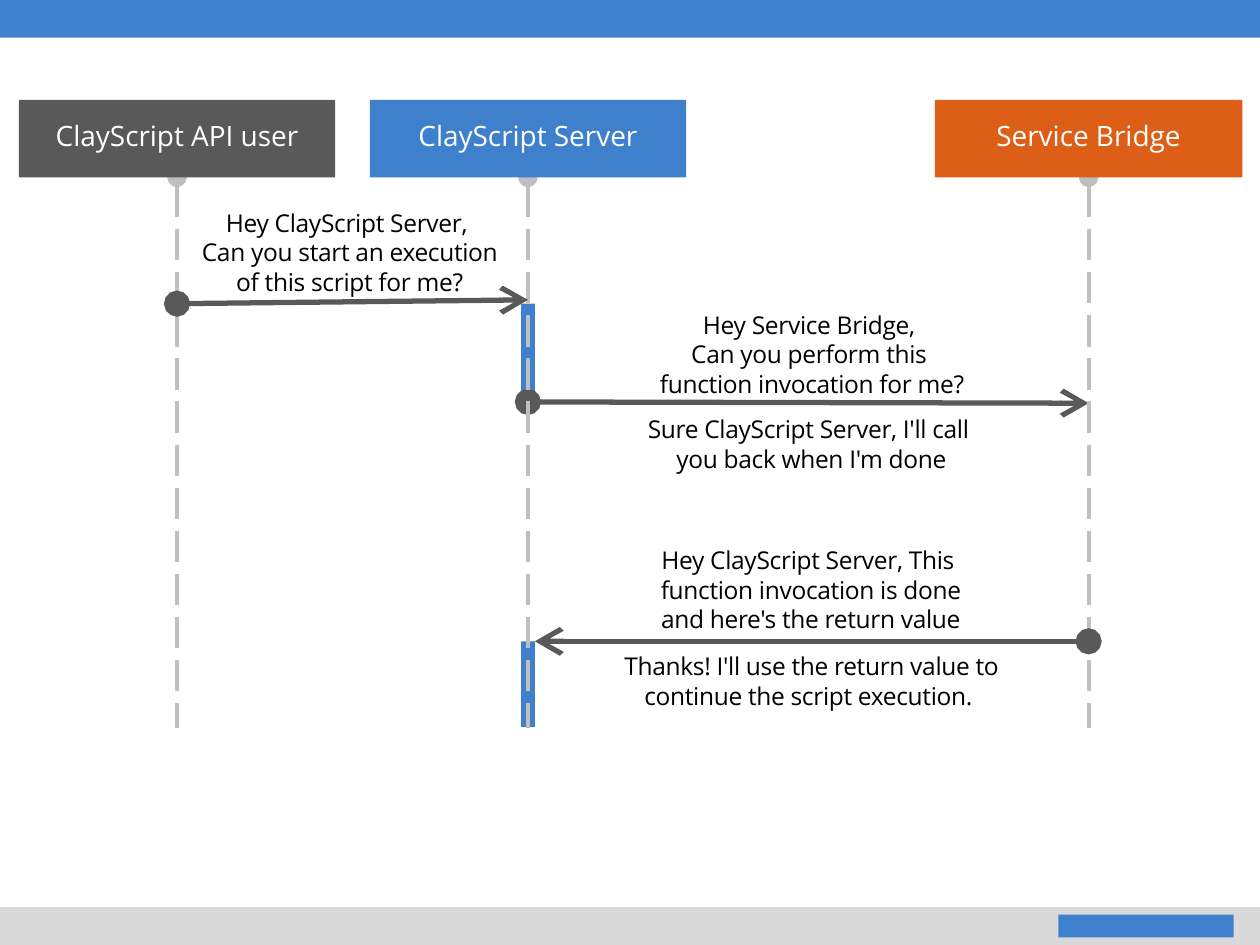
from lxml.etree import SubElement
from pptx import Presentation
from pptx.dml.color import RGBColor
from pptx.enum.dml import MSO_LINE
from pptx.enum.shapes import MSO_CONNECTOR, MSO_SHAPE
from pptx.enum.text import MSO_ANCHOR, MSO_AUTO_SIZE, PP_ALIGN
from pptx.oxml.ns import qn
from pptx.util import Inches, Pt

# The slide is a grid of 100 columns by 75 rows, each cell a tenth of an inch.
COLUMNS, ROWS = 100, 75
BLUE, ORANGE, DARK = "3F80CD", "DD5E17", "595959"
SILVER, PALE = "BFBFBF", "D9D9D9"
WHITE, BLACK = "FFFFFF", "000000"
BODY_FONT = "Open Sans"

HEADER_TOP, HEADER_HEIGHT, LIFELINE_END = 7.93, 6.15, 57.8
BAR_WIDTH = 1.1
USER, SERVER, BRIDGE = 14.05, 41.9, 86.4

# name, centre column, width, colour
PARTICIPANTS = [
    ("ClayScript API user", USER, 25.1, DARK),
    ("ClayScript Server", SERVER, 25.1, BLUE),
    ("Service Bridge", BRIDGE, 24.4, ORANGE),
]
# top row, height
ACTIVATIONS = [(50.9, 6.8), (24.1, 8)]
# left, top, width, height, wraps, paragraphs made of lines
CAPTIONS = [
    (14.9, 16, 25.7, 8.1, False, [["Hey ClayScript Server, "],
                                  ["Can you start an execution "],
                                  ["of this script for me?"]]),
    (51.3, 24.1, 26.3, 8.1, False, [["Hey Service Bridge, "],
                                    ["Can you perform this "],
                                    ["function invocation for me?"]]),
    (44.6, 32.4, 39.6, 5.7, True, [["Sure ClayScript Server, I'll call ",
                                    "you back when I'm done"]]),
    (51.3, 42.8, 26.1, 8.1, False, [["Hey ClayScript Server, This "],
                                    ["function invocation is done "],
                                    ["and here's the return value"]]),
    (44.6, 51.2, 39.6, 5.7, True, [["Thanks! I'll use the return value to "
                                    "continue the script execution. "]]),
]


def cells(*counts):
    """Turn counts of grid cells into lengths."""
    return [Inches(count / 10) for count in counts]


def color(hex_code):
    return RGBColor.from_string(hex_code)


def add_span(para, text, size, hex_code):
    span = para.add_run()
    span.text = text
    span.font.size = Pt(size)
    span.font.name = BODY_FONT
    span.font.color.rgb = color(hex_code)
    return span


def add_block(page, left, top, width, height, fill):
    block = page.shapes.add_shape(
        MSO_SHAPE.RECTANGLE, *cells(left, top, width, height))
    block.shadow.inherit = False
    block.fill.solid()
    block.fill.fore_color.rgb = color(fill)
    block.line.fill.background()
    return block


def add_header(page, name, centre, width, fill):
    header = add_block(page, centre - width / 2, HEADER_TOP,
                       width, HEADER_HEIGHT, fill)
    frame = header.text_frame
    frame.word_wrap = True
    frame.vertical_anchor = MSO_ANCHOR.TOP
    frame.margin_top = Inches(0.15)
    para = frame.paragraphs[0]
    para.alignment = PP_ALIGN.CENTER
    add_span(para, name, 16, WHITE)
    return header


def add_line(page, start, end, hex_code, weight, dash=None, tail=None):
    """Draw a line that starts with a dot and may end with an arrow."""
    line = page.shapes.add_connector(
        MSO_CONNECTOR.STRAIGHT, *cells(*start, *end))
    line.line.color.rgb = color(hex_code)
    line.line.width = Pt(weight)
    if dash:
        line.line.dash_style = dash
    outline = line.line._get_or_add_ln()
    SubElement(outline, qn("a:headEnd"), type="oval", w="lg", len="lg")
    if tail:
        SubElement(outline, qn("a:tailEnd"), type=tail, w="lg", len="lg")
    SubElement(line._element.spPr, qn("a:effectLst"))
    return line


def add_lifeline(page, centre):
    return add_line(page, (centre, HEADER_TOP + HEADER_HEIGHT),
                    (centre, LIFELINE_END), SILVER, 2.25, MSO_LINE.LONG_DASH)


def add_message(page, start, end):
    return add_line(page, start, end, DARK, 3, tail="arrow")


def add_caption(page, left, top, width, height, wraps, paragraphs):
    box = page.shapes.add_textbox(*cells(left, top, width, height))
    frame = box.text_frame
    frame.word_wrap = wraps
    frame.auto_size = MSO_AUTO_SIZE.SHAPE_TO_FIT_TEXT
    for index, lines in enumerate(paragraphs):
        para = frame.add_paragraph() if index else frame.paragraphs[0]
        para.alignment = PP_ALIGN.CENTER
        for number, text in enumerate(lines):
            if number:
                para.add_line_break()
            span = add_span(para, text, 14, BLACK)
            span.font._element.set("spc", "-20")


def add_bands(page):
    """Draw the top band and the footer band with its plain brand block."""
    add_block(page, 0, 0, COLUMNS, 3, BLUE)
    add_block(page, 0, ROWS - 3, COLUMNS, 3, PALE)
    add_block(page, 84, ROWS - 2.4, 13.9, 1.8, BLUE)


def main():
    deck = Presentation()
    deck.slide_width, deck.slide_height = cells(COLUMNS, ROWS)
    page = deck.slides.add_slide(deck.slide_layouts[6])
    add_bands(page)

    for top, height in ACTIVATIONS:
        add_block(page, SERVER - BAR_WIDTH / 2, top, BAR_WIDTH, height, BLUE)
    add_message(page, (SERVER, 31.9), (BRIDGE, 32))
    lifelines = [add_lifeline(page, centre)
                 for _, centre, _, _ in PARTICIPANTS]
    add_message(page, (BRIDGE, 50.9), (SERVER + BAR_WIDTH / 2, 50.9))
    for lifeline, participant in zip(lifelines, PARTICIPANTS):
        lifeline.begin_connect(add_header(page, *participant), 2)
    add_message(page, (USER, 24.1), (SERVER, 23.8))

    for caption in CAPTIONS:
        add_caption(page, *caption)
    deck.save("out.pptx")


if __name__ == "__main__":
    main()
